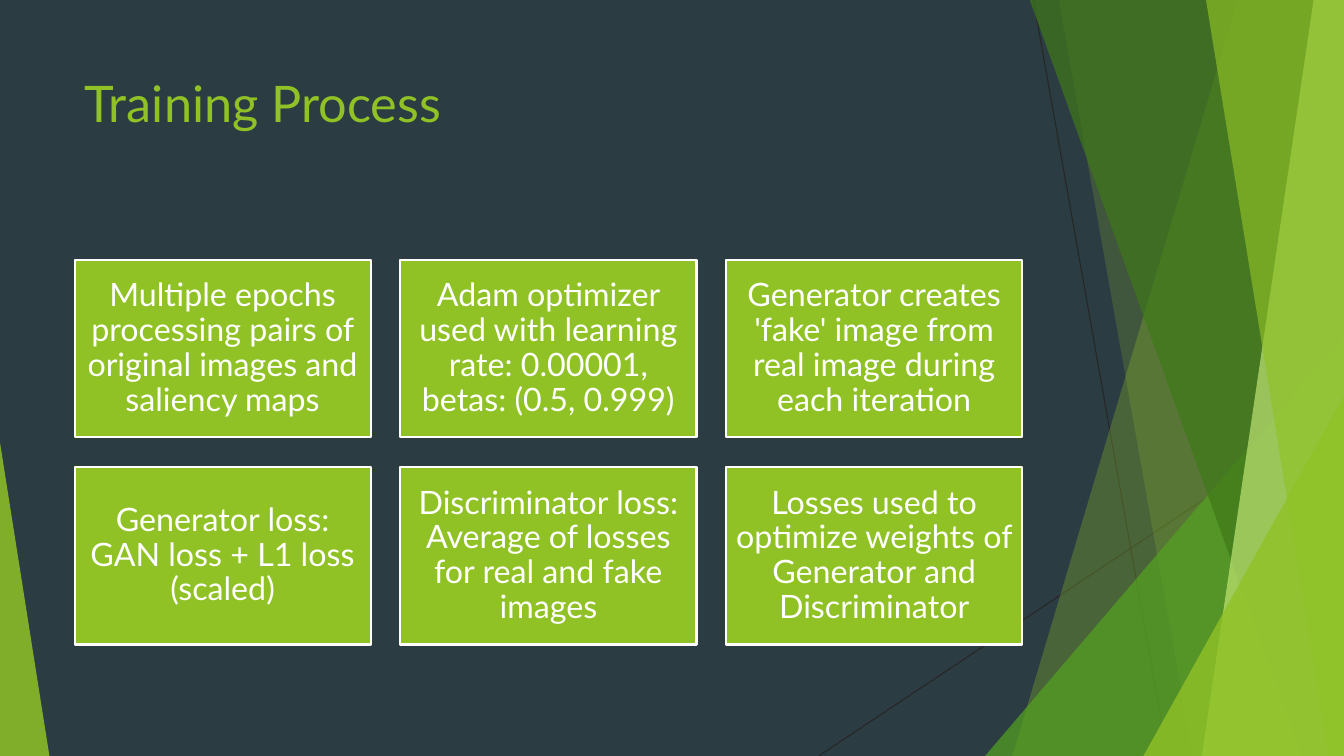
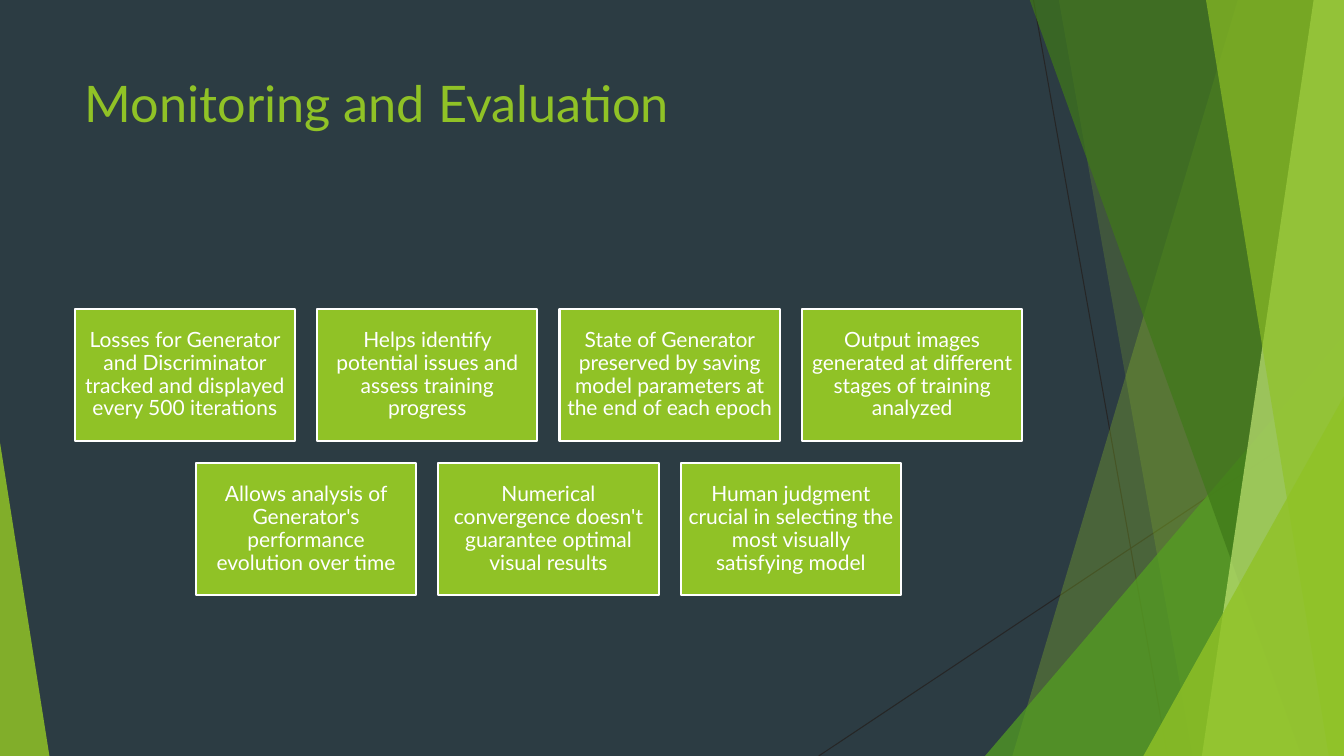
from lxml import etree
from pptx import Presentation
from pptx import util as u
from pptx.dml.color import RGBColor
from pptx.enum import shapes, text
from pptx.oxml.ns import qn

PX = 9144  # EMU: 100 px to the inch
SLIDE_W, SLIDE_H = 1333, 750
FONT = "Lato"
COLORS = {
    "background": "2C3C43",
    "lime": "90C226",
    "green": "54A021",
    "forest": "3F7819",
    "pale": "C0E474",
    "hairline": "262626",
    "white": "FFFFFF",
}

TITLE_BOX = (74, 67, 940, 144)
CARDS_BOX = (74, 216, 940, 465)
CARD_GAP = 0.1  # share of the card width
CARD_RATIO = 0.6  # height to width

HAIRLINES = [(1025, 0, 1158, 750), (1333, 403, 812, 750)]
# Full-height bands reach the right edge: top x, bottom x, colour, opacity
BAND, TRIANGLE = "band", "triangle"
FACETS = [
    (BAND, (1228, 1004), "lime", 30),
    (BAND, (1050, 1183), "lime", 20),
    (TRIANGLE, (977, 333, 356, 417, 1), "green", 72),
    (BAND, (1021, 1291), "forest", 70),
    (BAND, (1303, 1192), "pale", 70),
    (BAND, (1196, 1318), "lime", 65),
    (TRIANGLE, (1134, 393, 199, 357, 1), "lime", 80),
    (TRIANGLE, (0, 439, 49, 311, 0), "lime", 85),
]

# title, cards per row, text size in points, card inset in px, card texts
SLIDES = [
    ("Training Process", 3, 23, 9, [
        "Multiple epochs processing pairs of original images and saliency maps",
        "Adam optimizer used with learning rate: 0.00001, betas: (0.5, 0.999)",
        "Generator creates 'fake' image from real image during each iteration",
        "Generator loss: GAN loss + L1 loss (scaled)",
        "Discriminator loss: Average of losses for real and fake images",
        "Losses used to optimize weights of Generator and Discriminator",
    ]),
    ("Monitoring and Evaluation", 4, 15, 6, [
        "Losses for Generator and Discriminator tracked and displayed every 500 iterations",
        "Helps identify potential issues and assess training progress",
        "State of Generator preserved by saving model parameters at the end of each epoch",
        "Output images generated at different stages of training analyzed",
        "Allows analysis of Generator's performance evolution over time",
        "Numerical convergence doesn't guarantee optimal visual results",
        "Human judgment crucial in selecting the most visually satisfying model",
    ]),
]


def emu(*lengths):
    return [round(length * PX) for length in lengths]


def color(name):
    return RGBColor.from_string(COLORS[name])


def paint(shape, name, opacity=100):
    """Give a flat fill without outline or shadow."""
    shape.shadow.inherit = False
    shape.fill.solid()
    shape.fill.fore_color.rgb = color(name)
    shape.line.fill.background()
    if opacity < 100:
        tint = shape.element.spPr.find(qn("a:solidFill"))[0]
        etree.SubElement(tint, qn("a:alpha"), val=str(opacity * 1000))


def write(frame, words, size, name, align, anchor):
    frame.text = words
    frame.word_wrap = True
    frame.auto_size = text.MSO_AUTO_SIZE.NONE
    frame.vertical_anchor = anchor
    paragraph = frame.paragraphs[0]
    paragraph.alignment = align
    font = paragraph.runs[0].font
    font.name, font.size, font.color.rgb = FONT, u.Pt(size), color(name)


def add_hairline(slide, ends):
    hairline = slide.shapes.add_connector(shapes.MSO_CONNECTOR.STRAIGHT, *emu(*ends))
    hairline.line.color.rgb = color("hairline")
    hairline.line.width = u.Pt(0.75)
    etree.SubElement(hairline.element.spPr, qn("a:effectLst"))
    return hairline


def add_band(slide, top_x, bottom_x):
    outline = slide.shapes.build_freeform(top_x, -1, scale=PX)
    outline.add_line_segments(
        [(SLIDE_W, -1), (SLIDE_W, SLIDE_H), (bottom_x, SLIDE_H)], close=True)
    return outline.convert_to_shape()


def add_triangle(slide, left, top, width, height, apex):
    triangle = slide.shapes.add_shape(
        shapes.MSO_SHAPE.ISOSCELES_TRIANGLE, *emu(left, top, width, height))
    triangle.adjustments[0] = apex
    return triangle


def add_facets(slide):
    """Draw the facets on a slide, then move them behind its layout's placeholders."""
    parts = [add_hairline(slide, ends) for ends in HAIRLINES]
    for kind, geometry, name, opacity in FACETS:
        facet = (add_band if kind == BAND else add_triangle)(slide, *geometry)
        paint(facet, name, opacity)
        parts.append(facet)
    tree = slide.slide_layout.element.cSld.spTree
    for order, part in enumerate(parts):
        part.element.xpath(".//p:cNvPr")[0].set("id", str(100 + order))
        tree.insert(2 + order, part.element)


def place_title(slide, box, words):
    title = slide.shapes.title
    title.left, title.top, title.width, title.height = emu(*box)
    write(title.text_frame, words, 36, "lime",
          text.PP_ALIGN.LEFT, text.MSO_ANCHOR.TOP)


def add_card(slide, box, words, size, inset):
    card = slide.shapes.add_shape(shapes.MSO_SHAPE.RECTANGLE, *emu(*box))
    paint(card, "lime")
    card.line.color.rgb = color("white")
    card.line.width = u.Pt(1.5)
    frame = card.text_frame
    write(frame, words, size, "white",
          text.PP_ALIGN.CENTER, text.MSO_ANCHOR.MIDDLE)
    frame.paragraphs[0].line_spacing = 0.9
    (frame.margin_left, frame.margin_top,
     frame.margin_right, frame.margin_bottom) = emu(*[inset] * 4)


def add_card_grid(slide, box, columns, size, inset, cards):
    """Fill the box width with cards; centre the grid and each of its rows."""
    left, top, width, height = box
    card_w = width / (columns + CARD_GAP * (columns - 1))
    card_h, gap = card_w * CARD_RATIO, card_w * CARD_GAP
    rows = [cards[i:i + columns] for i in range(0, len(cards), columns)]
    y = top + (height - len(rows) * (card_h + gap) + gap) / 2
    for row in rows:
        x = left + (width - len(row) * (card_w + gap) + gap) / 2
        for words in row:
            add_card(slide, (x, y, card_w, card_h), words, size, inset)
            x += card_w + gap
        y += card_h + gap


def main():
    deck = Presentation()
    deck.slide_width, deck.slide_height = emu(SLIDE_W, SLIDE_H)
    backdrop = deck.slide_master.background.fill
    backdrop.solid()
    backdrop.fore_color.rgb = color("background")
    title_only = deck.slide_layouts.get_by_name("Title Only")
    for number, (title, columns, size, inset, cards) in enumerate(SLIDES):
        slide = deck.slides.add_slide(title_only)
        if number == 0:
            add_facets(slide)
        place_title(slide, TITLE_BOX, title)
        add_card_grid(slide, CARDS_BOX, columns, size, inset, cards)
    deck.save("out.pptx")


if __name__ == "__main__":
    main()
